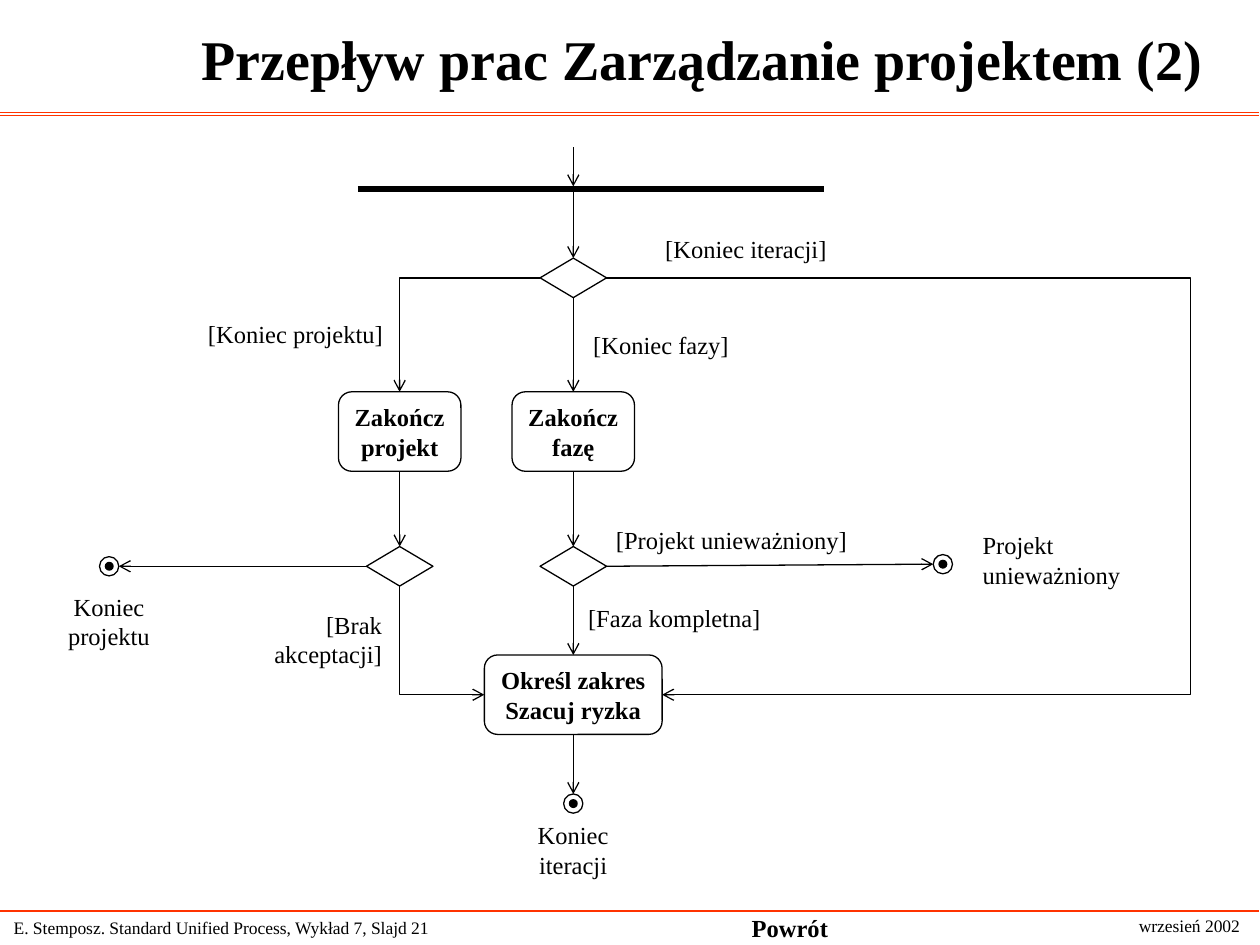
import pptx
import pptx.util
import pptx.dml.color
import pptx.enum.shapes
import pptx.enum.text
import pptx.oxml.ns
from lxml import etree

Pt = pptx.util.Pt
SHAPE = pptx.enum.shapes.MSO_SHAPE
LINE = pptx.enum.shapes.MSO_CONNECTOR
ALIGN = pptx.enum.text.PP_ALIGN
ANCHOR = pptx.enum.text.MSO_ANCHOR
FONT, BLACK, RED = "Times New Roman", "000000", "FF3300"

TITLE = "Przepływ prac Zarządzanie projektem (2)"
LEFT_X, MAIN_X, LOOP_X = 228.4, 327.6, 680.4
DECISION_Y, ACTIVITY_Y, CHECK_Y, SCOPE_Y = 158.8, 246.6, 323.6, 397
BAR_Y = 108

# name: (centre x, centre y, width, height, lines of text)
ACTIVITIES = {
    "close project": (LEFT_X, ACTIVITY_Y, 70, 45.4, ["Zakończ", "projekt"]),
    "close phase": (MAIN_X, ACTIVITY_Y, 70, 45.4, ["Zakończ", "fazę"]),
    "scope": (MAIN_X, SCOPE_Y, 101.6, 45.4, ["Określ zakres", "Szacuj ryzka"]),
}
DECISIONS = {
    "decision": (MAIN_X, DECISION_Y, 38, 22.6),
    "project check": (LEFT_X, CHECK_Y, 38, 22.6),
    "phase check": (MAIN_X, CHECK_Y, 38, 22.6),
}
ENDS = {
    "project end": (62.4, CHECK_Y, 11, 11),
    "cancelled end": (538.8, 322.4, 11, 11),
    "iteration end": (MAIN_X, 459.2, 11, 11),
}
STRAIGHT_FLOWS = [
    ("decision", "bottom", "close phase", "top"),
    ("close project", "bottom", "project check", "top"),
    ("close phase", "bottom", "phase check", "top"),
    ("phase check", "bottom", "scope", "top"),
    ("project check", "left", "project end", "right"),
    ("phase check", "right", "cancelled end", "left"),
    ("scope", "bottom", "iteration end", "top"),
]
# (left, top, width, height), alignment, lines
LABELS = [
    ((373, 130.3, 106.6, 24.5), ALIGN.LEFT, ["[Koniec iteracji]"]),
    ((111.6, 178.6, 114.5, 24.5), ALIGN.RIGHT, ["[Koniec projektu]"]),
    ((331.9, 185, 91.4, 24.5), ALIGN.LEFT, ["[Koniec fazy]"]),
    ((344.9, 296.6, 146.2, 24.5), ALIGN.LEFT, ["[Projekt unieważniony]"]),
    ((329, 341.3, 113, 24.5), ALIGN.LEFT, ["[Faza kompletna]"]),
    ((149.8, 344.9, 75.6, 41), ALIGN.RIGHT, ["[Brak", "akceptacji]"]),
    ((554.4, 299.5, 92.9, 41), ALIGN.LEFT, ["Projekt", "unieważniony"]),
    ((31.7, 334.8, 61.2, 41), ALIGN.CENTER, ["Koniec", "projektu"]),
    ((300.2, 465.1, 54.7, 41), ALIGN.CENTER, ["Koniec", "iteracji"]),
]
# (left, top, width, height), alignment, text, size, bold
FOOTERS = [
    ((0.7, 520.6, 322.6, 19.4), ALIGN.LEFT,
     "E. Stemposz. Standard Unified Process, Wykład 7, Slajd 21", 10, False),
    ((422.6, 517.7, 57.6, 24.5), ALIGN.CENTER, "Powrót", 14, True),
    ((642.2, 519.1, 74.9, 19.4), ALIGN.CENTER, "wrzesień 2002", 10, False),
]
RULES_Y = [64.1, 66.2, 520.6]
SITES = {"top": 0, "left": 1, "bottom": 2, "right": 3}


def color(value):
    return pptx.dml.color.RGBColor.from_string(value)


def write(frame, lines, size=14, bold=False, align=ALIGN.CENTER,
          anchor=ANCHOR.TOP, wrap=False):
    frame.word_wrap = wrap
    frame.auto_size = pptx.enum.text.MSO_AUTO_SIZE.NONE
    frame.vertical_anchor = anchor
    frame.margin_left = frame.margin_right = Pt(7.2)
    frame.margin_top = frame.margin_bottom = Pt(3.6)
    for index, text in enumerate(lines):
        para = frame.add_paragraph() if index else frame.paragraphs[0]
        para.alignment = align
        span = para.add_run()
        span.text = text
        span.font.name, span.font.size, span.font.bold = FONT, Pt(size), bold
        span.font.color.rgb = color(BLACK)


def add_outline(shapes, kind, x, y, width, height, fill=None):
    """Add a black-outlined shape centred on x, y."""
    shape = shapes.add_shape(kind, Pt(x - width / 2), Pt(y - height / 2),
                             Pt(width), Pt(height))
    shape.shadow.inherit = False
    if fill:
        shape.fill.solid()
        shape.fill.fore_color.rgb = color(fill)
    else:
        shape.fill.background()
    shape.line.color.rgb = color(BLACK)
    shape.line.width = Pt(0.75)
    return shape


def add_line(page, start, end, kind=LINE.STRAIGHT, stroke=BLACK, width=0.75,
             arrow=None):
    """Add a connector; arrow is headEnd (at start), tailEnd (at end) or None."""
    line = page.shapes.add_connector(kind, *[Pt(v) for v in (*start, *end)])
    line.line.color.rgb = color(stroke)
    line.line.width = Pt(width)
    if arrow:
        etree.SubElement(line.line._get_or_add_ln(),
                         pptx.oxml.ns.qn("a:" + arrow), type="arrow")
    etree.SubElement(line._element.spPr, pptx.oxml.ns.qn("a:effectLst"))
    return line


def side_point(name, side):
    x, y, width, height = {**ACTIVITIES, **DECISIONS, **ENDS}[name][:4]
    dx, dy = {"top": (0, -1), "bottom": (0, 1),
              "left": (-1, 0), "right": (1, 0)}[side]
    return x + dx * width / 2, y + dy * height / 2


def add_flow(page, nodes, source, source_side, target, target_side,
             kind=LINE.STRAIGHT, arrow="tailEnd"):
    """Link two nodes, gluing the line to every activity and decision."""
    line = add_line(page, side_point(source, source_side),
                    side_point(target, target_side), kind, arrow=arrow)
    if source in nodes:
        line.begin_connect(nodes[source], SITES[source_side])
    if target in nodes:
        line.end_connect(nodes[target], SITES[target_side])
    return line


def add_corner(page, nodes, *ends, arrow):
    """Add a flow that runs sideways first and then turns once."""
    line = add_flow(page, nodes, *ends, kind=LINE.ELBOW, arrow=arrow)
    line._element.spPr.prstGeom.set("prst", "bentConnector2")


def add_loop(page, nodes, source, target):
    """Add a flow from right side to right side, by way of LOOP_X."""
    line = add_flow(page, nodes, source, "right", target, "right", LINE.ELBOW)
    start, end = side_point(source, "right")[0], side_point(target, "right")[0]
    bend = round((LOOP_X - start) / (end - start) * 100000)
    guides = line._element.spPr.prstGeom.get_or_add_avLst()
    etree.SubElement(guides, pptx.oxml.ns.qn("a:gd"), name="adj1",
                     fmla=f"val {bend}")


def main():
    deck = pptx.Presentation()
    deck.slide_width, deck.slide_height = Pt(720), Pt(540)
    page = deck.slides.add_slide(deck.slide_layouts[5])

    for y in RULES_Y:
        add_line(page, (0, y), (719.3, y), stroke=RED)
    title = page.shapes.title
    title.left, title.top, title.width, title.height = Pt(83.5), 0, Pt(635.8), Pt(66.2)
    write(title.text_frame, [TITLE], 32, True, anchor=ANCHOR.MIDDLE, wrap=True)

    nodes = {}
    for name, (*place, lines) in ACTIVITIES.items():
        nodes[name] = add_outline(page.shapes, SHAPE.ROUNDED_RECTANGLE, *place)
        write(nodes[name].text_frame, lines, bold=True, anchor=ANCHOR.MIDDLE)
    for name, place in DECISIONS.items():
        nodes[name] = add_outline(page.shapes, SHAPE.DIAMOND, *place)
    for x, y, width, height in ENDS.values():
        group = page.shapes.add_group_shape()
        add_outline(group.shapes, SHAPE.OVAL, x, y, 4.4, 4.4, BLACK)
        add_outline(group.shapes, SHAPE.OVAL, x, y, width, height)

    add_line(page, (204.5, BAR_Y), (470.9, BAR_Y), width=4)
    add_line(page, (MAIN_X, 84.2), (MAIN_X, BAR_Y - 1.5), arrow="tailEnd")
    add_line(page, (MAIN_X, BAR_Y), side_point("decision", "top"), arrow="tailEnd")
    for flow in STRAIGHT_FLOWS:
        add_flow(page, nodes, *flow)
    add_corner(page, nodes, "decision", "left", "close project", "top",
               arrow="tailEnd")
    add_corner(page, nodes, "scope", "left", "project check", "bottom",
               arrow="headEnd")
    add_loop(page, nodes, "decision", "scope")

    for place, align, lines in LABELS:
        box = page.shapes.add_textbox(*[Pt(v) for v in place])
        write(box.text_frame, lines, align=align)
    for place, align, text, size, bold in FOOTERS:
        box = page.shapes.add_textbox(*[Pt(v) for v in place])
        write(box.text_frame, [text], size, bold, align, ANCHOR.MIDDLE)

    deck.save("out.pptx")


if __name__ == "__main__":
    main()
